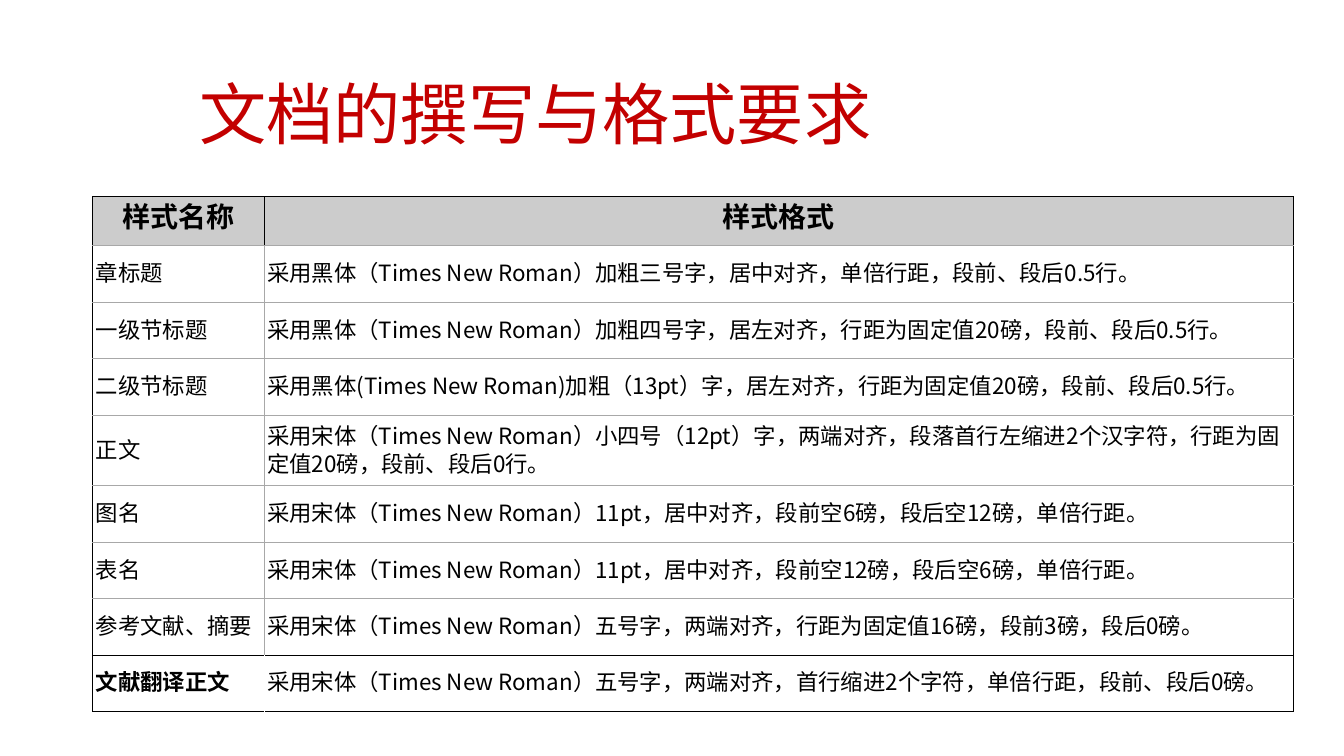
from dataclasses import dataclass
from lxml import etree
from pptx import Presentation
from pptx.dml.color import RGBColor
from pptx.enum.text import MSO_ANCHOR, PP_ALIGN
from pptx.oxml.ns import qn
from pptx.util import Inches, Pt

LEFT, CENTER = PP_ALIGN.LEFT, PP_ALIGN.CENTER
MIDDLE, BOTTOM = MSO_ANCHOR.MIDDLE, MSO_ANCHOR.BOTTOM


@dataclass
class Theme:
    red: str = "C30000"
    black: str = "000000"
    gray: str = "A8A8A8"
    white: str = "FFFFFF"
    head: str = "CCCCCC"
    latin: str = "Arial"
    hans: str = "Noto Sans CJK SC"
    title: int = 48
    label: int = 20
    body: int = 16
    lead: int = 20
    line: float = 0.75


class Page:
    def __init__(self, deck, theme):
        self.theme = theme
        self.slide = deck.slides.add_slide(deck.slide_layouts[5])

    def label(self, para, text, size, color, face, bold=False, align=LEFT):
        para.text = text
        para.alignment = align
        font = para.font
        font.size, font.bold, font.name = Pt(size), bold, face
        font.color.rgb = RGBColor.from_string(color)
        props = para._p.pPr.find(qn("a:defRPr"))
        etree.SubElement(props, qn("a:ea"), typeface=self.theme.hans)

    def title(self, text, box):
        shape = self.slide.shapes.title
        shape.left, shape.top, shape.width, shape.height = map(Inches, box)
        frame = shape.text_frame
        frame.vertical_anchor = BOTTOM
        frame.word_wrap = True
        para = frame.paragraphs[0]
        para.line_spacing = 0.9
        self.label(para, text, self.theme.title, self.theme.red,
                   self.theme.latin, align=CENTER)

    def border(self, cell, colors):
        props = cell._tc.get_or_add_tcPr()
        for spot, (side, color) in enumerate(zip("LRTB", colors)):
            line = etree.Element(qn(f"a:ln{side}"), w=str(Pt(self.theme.line)))
            fill = etree.SubElement(line, qn("a:solidFill"))
            etree.SubElement(fill, qn("a:srgbClr"), val=color)
            props.insert(spot, line)

    def cell(self, cell, text, head, bold, colors):
        look = self.theme
        cell.margin_left = cell.margin_right = Inches(0.03)
        cell.margin_top = cell.margin_bottom = 0
        cell.vertical_anchor = MIDDLE
        cell.fill.solid()
        cell.fill.fore_color.rgb = RGBColor.from_string(look.head if head else look.white)
        para = cell.text_frame.paragraphs[0]
        para.line_spacing = Pt(look.lead)
        self.label(para, text, look.label if head else look.body, look.black,
                   look.latin if head else look.hans, bold, CENTER if head else LEFT)
        self.border(cell, colors)

    def table(self, rows, box, widths, heights):
        look = self.theme
        grid = self.slide.shapes.add_table(len(rows), len(widths), *map(Inches, box)).table
        grid.first_row = grid.horz_banding = False
        for col, width in zip(grid.columns, widths):
            col.width = Inches(width)
        for row, height in zip(grid.rows, heights):
            row.height = Inches(height)
        last = len(rows) - 1
        rules = [look.black] + [look.gray] * (last - 1) + [look.black] * 2
        for y, row in enumerate(rows):
            split = {0: look.black, last: look.white}.get(y, look.gray)
            sides = [look.black, split, look.black]
            for x, text in enumerate(row):
                bold = y == 0 or (y == last and x == 0)
                self.cell(grid.cell(y, x), text, y == 0, bold,
                          sides[x:x + 2] + rules[y:y + 2])


ROWS = [
    ("样式名称", "样式格式"),
    ("章标题", "采用黑体（Times New Roman）加粗三号字，居中对齐，单倍行距，段前、段后0.5行。"),
    ("一级节标题", "采用黑体（Times New Roman）加粗四号字，居左对齐，行距为固定值20磅，段前、段后0.5行。"),
    ("二级节标题", "采用黑体(Times New Roman)加粗（13pt）字，居左对齐，行距为固定值20磅，段前、段后0.5行。"),
    ("正文", "采用宋体（Times New Roman）小四号（12pt）字，两端对齐，段落首行左缩进2个汉字符，行距为固定值20磅，段前、段后0行。"),
    ("图名", "采用宋体（Times New Roman）11pt，居中对齐，段前空6磅，段后空12磅，单倍行距。"),
    ("表名", "采用宋体（Times New Roman）11pt，居中对齐，段前空12磅，段后空6磅，单倍行距。"),
    ("参考文献、摘要", "采用宋体（Times New Roman）五号字，两端对齐，行距为固定值16磅，段前3磅，段后0磅。"),
    ("文献翻译正文", "采用宋体（Times New Roman）五号字，两端对齐，首行缩进2个字符，单倍行距，段前、段后0磅。"),
]


def main():
    deck = Presentation()
    deck.slide_width, deck.slide_height = Inches(13.33), Inches(7.5)
    page = Page(deck, Theme())
    page.title("文档的撰写与格式要求", (0.98, 0.58, 8.66, 1))
    heights = [0.49] + [0.56] * 3 + [0.7] + [0.56] * 4
    page.table(ROWS, (0.92, 1.95, 11.91, 5.08), (1.7, 10.21), heights)
    deck.save("out.pptx")


if __name__ == "__main__":
    main()
